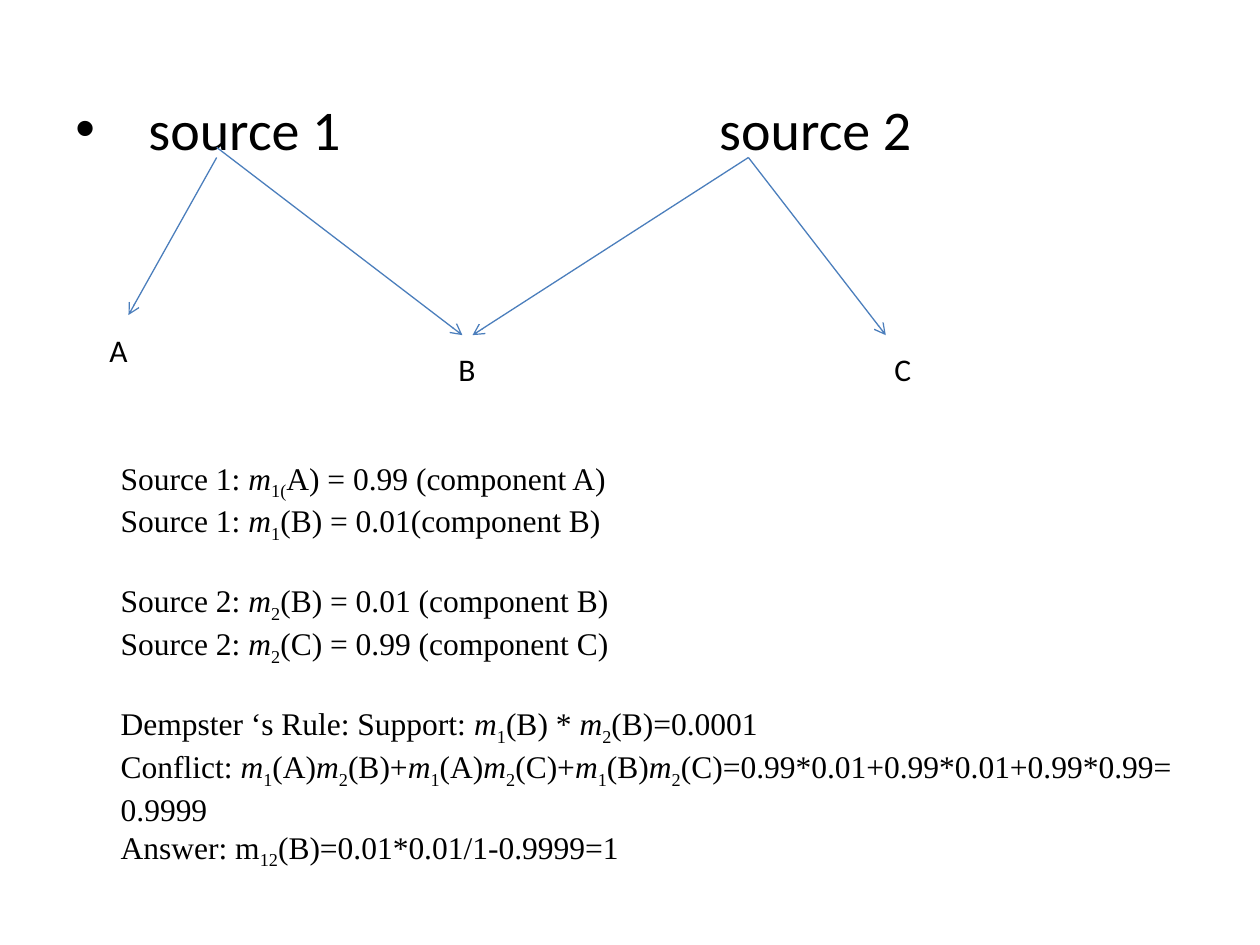
"""Build a slide showing two sources, their components and Dempster's rule."""
from dataclasses import dataclass

from lxml.etree import SubElement
from pptx import Presentation
from pptx.dml.color import RGBColor
from pptx.enum.shapes import MSO_CONNECTOR as Connector
from pptx.oxml.ns import qn
from pptx.util import Inches, Pt


@dataclass(frozen=True)
class Theme:
    ink: RGBColor = RGBColor(0x00, 0x00, 0x00)
    arrow: RGBColor = RGBColor(0x4B, 0x7E, 0xBC)
    sans: str = "Calibri"
    serif: str = "Times New Roman"
    heading_size: int = 32
    text_size: int = 18
    arrow_width: float = 0.75
    group_gap: int = 21
    inset: float = 0.1


THEME = Theme()
M1 = [("m", "italic"), ("1", "subscript")]
M2 = [("m", "italic"), ("2", "subscript")]

HEADINGS = [("source 1", 0.5, 0.58, True), ("source 2", 5.61, 0, False)]
LABELS = [("A", 0.87, 2.58), ("B", 3.64, 2.73), ("C", 7.1, 2.73)]
ARROWS = [
    ((1.72, 1.25), (1.02, 2.5)),
    ((1.72, 1.17), (3.67, 2.66)),
    ((5.94, 1.25), (3.75, 2.66)),
    ((5.94, 1.25), (7.03, 2.66)),
]
GROUPS = [
    [
        ["Source 1: ", ("m", "italic"), ("1(", "subscript"), "A) = 0.99 (component A)"],
        ["Source 1: ", *M1, "(B) = 0.01(component B)"],
    ],
    [
        ["Source 2: ", *M2, "(B) = 0.01 (component B)"],
        ["Source 2: ", *M2, "(C) = 0.99 (component C)"],
    ],
    [
        ["Dempster ‘s Rule: Support: ", *M1, "(B) * ", *M2, "(B)=0.0001"],
        ["Conflict: ", *M1, "(A)", *M2, "(B)+", *M1, "(A)", *M2, "(C)+",
         *M1, "(B)", *M2, "(C)=0.99*0.01+0.99*0.01+0.99*0.99= 0.9999"],
        ["Answer: m", ("12", "subscript"), "(B)=0.01*0.01/1-0.9999=1"],
    ],
]


def add_text_box(slide, left, top, width, height):
    box = slide.shapes.add_textbox(Inches(left), Inches(top), Inches(width), Inches(height))
    box.text_frame.word_wrap = True
    return box.text_frame


def add_run(paragraph, text, font_name, size, style=None):
    run = paragraph.add_run()
    run.text = text
    run.font.name = font_name
    run.font.size = Pt(size)
    run.font.color.rgb = THEME.ink
    if style == "italic":
        run.font.italic = True
    elif style == "subscript":
        run._r.get_or_add_rPr().set("baseline", "-25000")


def add_bullet(paragraph, text_indent):
    properties = paragraph._p.get_or_add_pPr()
    properties.set("marL", str(Inches(text_indent)))
    properties.set("indent", str(-Inches(text_indent)))
    SubElement(properties, qn("a:buFont")).set("typeface", "Arial")
    SubElement(properties, qn("a:buChar")).set("char", "•")


def add_arrow(slide, start, end):
    points = [Inches(value) for value in (*start, *end)]
    connector = slide.shapes.add_connector(Connector.STRAIGHT, *points)
    connector.line.color.rgb = THEME.arrow
    connector.line.width = Pt(THEME.arrow_width)
    SubElement(connector.line._get_or_add_ln(), qn("a:tailEnd")).set("type", "arrow")
    SubElement(connector._element.spPr, qn("a:effectLst"))


def add_formulas(slide):
    frame = add_text_box(slide, 0.86, 3.59, 8.67, 3.13)
    paragraph = frame.paragraphs[0]
    for group_index, group in enumerate(GROUPS):
        for line_index, line in enumerate(group):
            if group_index or line_index:
                paragraph = frame.add_paragraph()
            if group_index and not line_index:
                paragraph.space_before = Pt(THEME.group_gap)
            for part in line:
                text, style = (part, None) if isinstance(part, str) else part
                add_run(paragraph, text, THEME.serif, THEME.text_size, style)


def main():
    presentation = Presentation()
    presentation.slide_width, presentation.slide_height = Inches(10), Inches(7.5)
    slide = presentation.slides.add_slide(presentation.slide_layouts[6])
    for text, left, text_indent, bulleted in HEADINGS:
        paragraph = add_text_box(slide, left, 0.7, 3, 0.64).paragraphs[0]
        if bulleted:
            add_bullet(paragraph, text_indent)
        add_run(paragraph, text, THEME.sans, THEME.heading_size)
    for start, end in ARROWS:
        add_arrow(slide, start, end)
    for text, left, top in LABELS:
        paragraph = add_text_box(slide, left - THEME.inset, top, 0.5, 0.4).paragraphs[0]
        add_run(paragraph, text, THEME.sans, THEME.text_size)
    add_formulas(slide)
    presentation.save("out.pptx")


if __name__ == "__main__":
    main()
